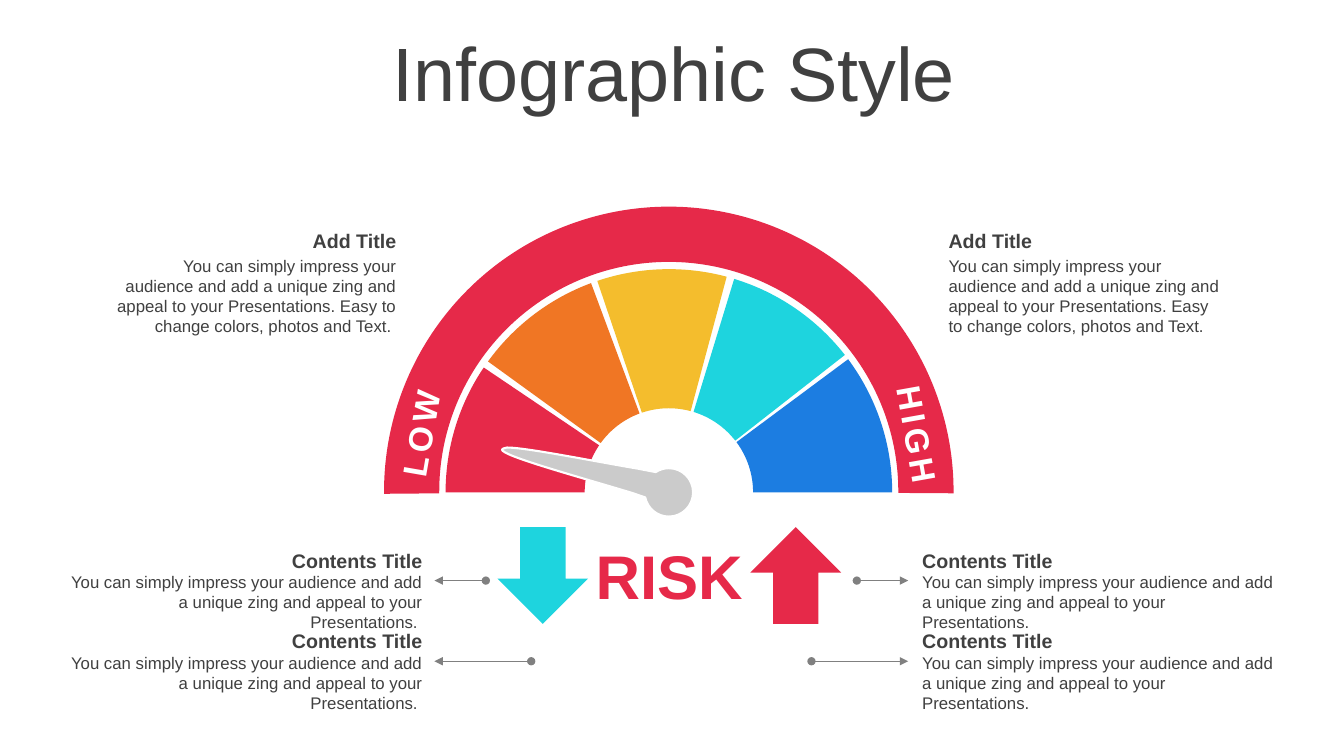
import math
from typing import NamedTuple

from lxml import etree
from pptx import Presentation
from pptx.dml.color import RGBColor
from pptx.enum.shapes import MSO_CONNECTOR, MSO_SHAPE
from pptx.enum.text import MSO_ANCHOR, MSO_AUTO_SIZE, PP_ALIGN
from pptx.oxml.ns import qn
from pptx.util import Inches, Pt

LEFT, CENTER, RIGHT = PP_ALIGN.LEFT, PP_ALIGN.CENTER, PP_ALIGN.RIGHT
MIDDLE = MSO_ANCHOR.MIDDLE
FIT_SHAPE, NO_FIT = MSO_AUTO_SIZE.SHAPE_TO_FIT_TEXT, MSO_AUTO_SIZE.NONE
BLOCK_ARC, RIGHT_ARROW = MSO_SHAPE.BLOCK_ARC, MSO_SHAPE.RIGHT_ARROW
STRAIGHT = MSO_CONNECTOR.STRAIGHT

RED, ORANGE, YELLOW = "E62949", "F07624", "F4BD2D"
CYAN, BLUE, NEEDLE_GRAY = "1ED4DE", "1C7DE1", "CBCBCB"
DARK, LINE_GRAY, WHITE = "404040", "808080", "FFFFFF"

# The slide is a grid of square cells, ten to the inch
COLUMNS, ROWS = 133.33, 75
HUB = (66.36, 48.85)
MIRROR_SUM = 133.2  # left column + right column of a mirrored pair

SHORT_TEXT = ("You can simply impress your audience and add a unique zing "
              "and appeal to your Presentations.")
LONG_TEXT = SHORT_TEXT + " Easy to change colors, photos and Text."

Point = tuple[float, float]
Segment = list[Point]  # one point for a line, three for a curve


class Box(NamedTuple):
    column: float
    row: float
    width: float
    height: float


class Wedge(NamedTuple):
    start: float
    end: float
    color: str


class Label(NamedTuple):
    text: str
    box: Box
    size: int
    color: str
    alignment: PP_ALIGN
    bold: bool = True
    rotation: float = 0
    spacing: int = 0


class Caption(NamedTuple):
    title: str
    body: str
    column: float
    row: float
    width: float
    body_offset: float
    alignment: PP_ALIGN


class Arrow(NamedTuple):
    box: Box
    rotation: int
    color: str


class Pointer(NamedTuple):
    start: float
    end: float
    row: float


WEDGES = [Wedge(75, 108.7, YELLOW), Wedge(38, 73, CYAN), Wedge(110.4, 144.1, ORANGE),
          Wedge(0, 36.6, BLUE), Wedge(146, 180, RED)]
NEEDLE_TIP = [
    [(62.7, 48.9)],
    [(57.4, 47.3), (49.7, 45.2), (49.8, 44.6)],
    [(49.8, 44.5), (50, 44.5), (50.3, 44.4)],
    [(52.2, 44.4), (58.6, 45.7), (63.3, 46.5)],
]
LABELS = [
    Label("RISK", Box(57.65, 52.9, 17.5, 8.4), 44, RED, CENTER),
    Label("LOW", Box(35.8, 39.8, 12, 5), 24, WHITE, LEFT, True, 279.9, 300),
    Label("HIGH", Box(84.7, 40.1, 12.5, 5), 24, WHITE, RIGHT, True, 79.9, 300),
]
ARROWS = [Arrow(Box(74.15, 52.6, 9.6, 9), 270, RED),
          Arrow(Box(49.05, 52.6, 9.6, 9), 90, CYAN)]
POINTERS = [Pointer(80.5, 90.1, 65.6), Pointer(85, 90.1, 57.6)]
CAPTIONS = [
    Caption("Add Title", LONG_TEXT, 93.12, 22.23, 29.5, 2.6, LEFT),
    Caption("Add Title", LONG_TEXT + " ", 10.4, 22.23, 29.9, 2.6, RIGHT),
]
for caption_row in (53.94, 61.94):
    CAPTIONS += [
        Caption("Contents Title", SHORT_TEXT, 90.5, caption_row, 37, 2.3, LEFT),
        Caption("Contents Title", SHORT_TEXT + " ", 5.8, caption_row, 37.1, 2.3, RIGHT),
    ]


def cells(count: float) -> int:
    return Inches(count / 10)


def color_of(hex_value: str) -> RGBColor:
    return RGBColor.from_string(hex_value)


def apply(target, formats: dict) -> None:
    for name, value in formats.items():
        setattr(target, name, value)


def paint(shape, color: str, outline: str = "") -> None:
    shape.shadow.inherit = False
    shape.fill.solid()
    shape.fill.fore_color.rgb = color_of(color)
    if outline:
        shape.line.color.rgb = color_of(outline)
        shape.line.width = Pt(1.5)
    else:
        shape.line.fill.background()


def arc(radius: float, start: float, end: float) -> list[Segment]:
    """A line to the start of the arc, then one curve per quadrant."""
    def polar(angle: float, pull: float = 0) -> Point:
        cosine, sine = math.cos(angle), math.sin(angle)
        return (HUB[0] + radius * (cosine - pull * sine),
                HUB[1] - radius * (sine + pull * cosine))

    turns = [angle for angle in range(-90, 180, 90) if min(start, end) < angle < max(start, end)]
    stops = [math.radians(a) for a in sorted([start, *turns, end], reverse=start > end)]
    segments = [[polar(stops[0])]]
    for first, last in zip(stops, stops[1:]):
        pull = 4 / 3 * math.tan((last - first) / 4)
        segments.append([polar(first, pull), polar(last, -pull), polar(last)])
    return segments


def add_outline(slide, segments: list[Segment], color: str, outline: str = "") -> None:
    corners = [(cells(x), cells(y)) for x, y in (segment[-1] for segment in segments)]
    builder = slide.shapes.build_freeform(*corners[0], scale=1.0)
    builder.add_line_segments(corners[1:], close=True)
    shape = builder.convert_to_shape()
    # Bend the straight sides that have control points
    outline_path = shape._element.find(".//" + qn("a:path"))
    for side, segment in zip(outline_path.findall(qn("a:lnTo")), segments[1:]):
        if len(segment) == 3:
            curve = etree.Element(qn("a:cubicBezTo"))
            for x, y in segment:
                etree.SubElement(curve, qn("a:pt"), x=str(cells(x) - shape.left),
                                 y=str(cells(y) - shape.top))
            outline_path.replace(side, curve)
    paint(shape, color, outline)


def add_preset(slide, kind: MSO_SHAPE, box: Box, color: str, rotation: float = 0):
    shape = slide.shapes.add_shape(kind, *map(cells, box))
    shape.rotation = rotation
    paint(shape, color)
    return shape


def write(paragraph, text: str, size: int, color: str, bold: bool, alignment: PP_ALIGN):
    paragraph.alignment = alignment
    run = paragraph.add_run()
    run.text = text
    apply(run.font, {"name": "Arial", "size": Pt(size), "bold": bold})
    run.font.color.rgb = color_of(color)
    return run


def add_label(slide, label: Label) -> None:
    shape = slide.shapes.add_textbox(*map(cells, label.box))
    shape.rotation = label.rotation
    apply(shape.text_frame, {"word_wrap": True, "auto_size": FIT_SHAPE})
    run = write(shape.text_frame.paragraphs[0], label.text, label.size,
                label.color, label.bold, label.alignment)
    if label.spacing:
        run.font._element.set("spc", str(label.spacing))


def add_caption(slide, caption: Caption) -> None:
    title_box = Box(caption.column, caption.row, caption.width, 3.4)
    body_box = title_box._replace(row=caption.row + caption.body_offset, height=5)
    add_label(slide, Label(caption.body, body_box, 12, DARK, caption.alignment, False))
    add_label(slide, Label(caption.title, title_box, 14, DARK, caption.alignment))


def add_pointer(slide, pointer: Pointer) -> None:
    row = cells(pointer.row)
    connector = slide.shapes.add_connector(
        STRAIGHT, cells(pointer.start), row, cells(pointer.end), row)
    connector.line.color.rgb = color_of(LINE_GRAY)
    connector.line.width = Pt(0.5)
    line = connector.line._get_or_add_ln()
    for tag, kind in (("a:headEnd", "oval"), ("a:tailEnd", "triangle")):
        etree.SubElement(line, qn(tag), type=kind)
    etree.SubElement(connector._element.spPr, qn("a:effectLst"))


def main() -> None:
    presentation = Presentation()
    apply(presentation, {"slide_width": cells(COLUMNS), "slide_height": cells(ROWS)})
    slide = presentation.slides.add_slide(presentation.slide_layouts[5])

    # Title
    title = slide.shapes.title
    apply(title, dict(zip(("left", "top", "width", "height"),
                          map(cells, Box(3.5, 3.7, 126.7, 7.9)))))
    apply(title.text_frame, {"vertical_anchor": MIDDLE, "auto_size": NO_FIT})
    heading = title.text_frame.paragraphs[0]
    apply(heading, {"line_spacing": 0.9, "space_before": Pt(10)})
    write(heading, "Infographic Style", 54, DARK, False, CENTER)

    # Gauge: rim, wedges and needle
    rim = add_preset(slide, BLOCK_ARC, Box(38.1, 20.5, 56.5, 56.5), RED)
    for index, value in enumerate((107.71, 0.23, 0.097)):
        rim.adjustments[index] = value
    for wedge in WEDGES:
        add_outline(slide, arc(22.15, wedge.start, wedge.end)
                    + arc(8.35, wedge.end, wedge.start), wedge.color)
    add_outline(slide, NEEDLE_TIP + arc(2.4, 123, -168), NEEDLE_GRAY, WHITE)

    # Labels, arrows, captions and pointers
    for label in LABELS:
        add_label(slide, label)
    for arrow in ARROWS:
        add_preset(slide, RIGHT_ARROW, arrow.box, arrow.color, arrow.rotation)
    for caption in CAPTIONS:
        add_caption(slide, caption)
    for pointer in POINTERS:
        add_pointer(slide, pointer)
        add_pointer(slide, Pointer(MIRROR_SUM - pointer.start,
                                   MIRROR_SUM - pointer.end, pointer.row))

    presentation.save("out.pptx")


if __name__ == "__main__":
    main()
